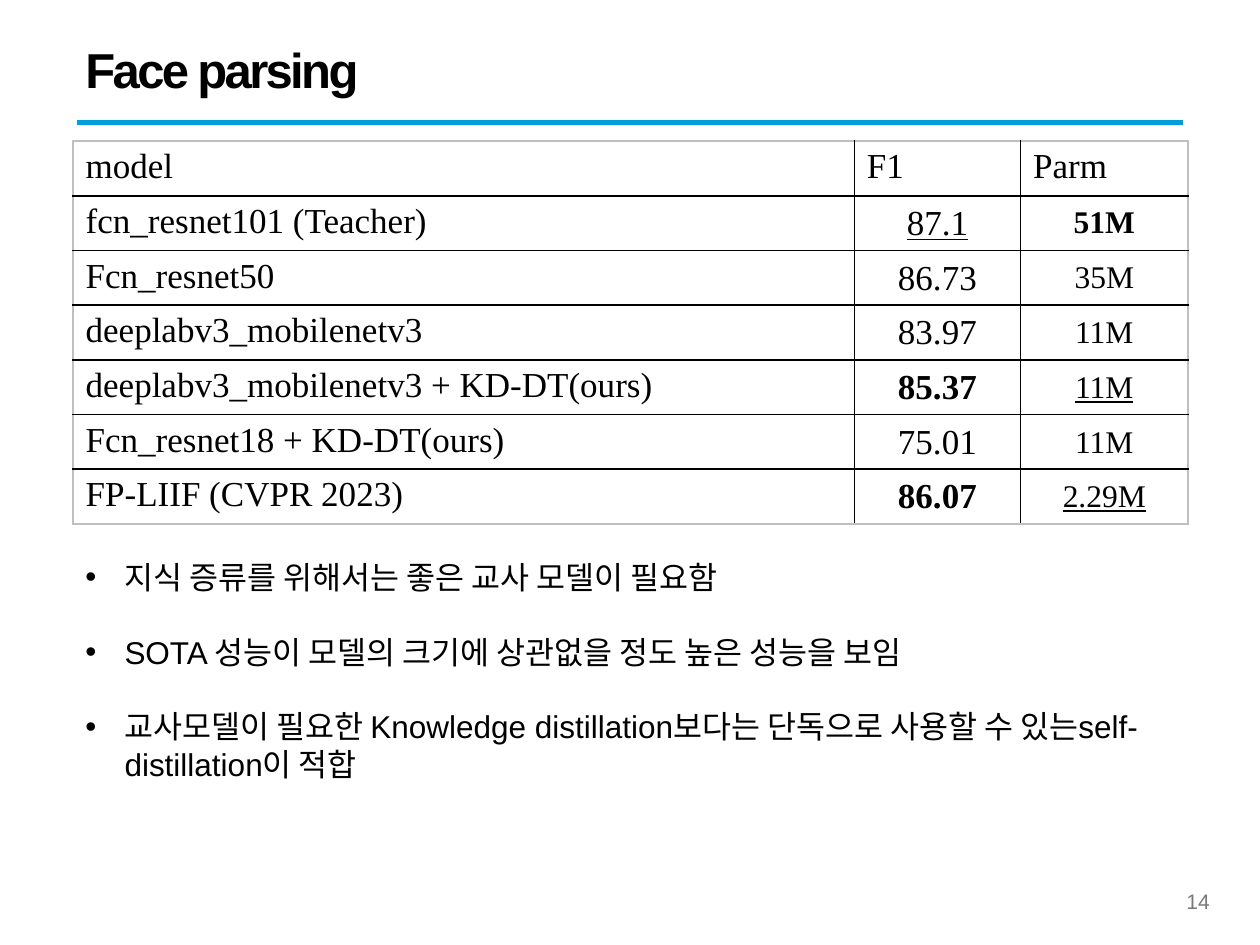
from pptx import Presentation, util as u
from pptx.dml.color import RGBColor
from pptx.enum import shapes as sh, text as t
from pptx.oxml.ns import qn
from lxml import etree

# Content
TITLE = "Face parsing"
PAGE = "14"
HEAD = ("model", "F1", "Parm")
# model, F1, F1 style, size, size style (b = bold, u = underlined)
ROWS = [
    ("fcn_resnet101 (Teacher)", "87.1", "u", "51M", "b"),
    ("Fcn_resnet50", "86.73", "", "35M", ""),
    ("deeplabv3_mobilenetv3", "83.97", "", "11M", ""),
    ("deeplabv3_mobilenetv3 + KD-DT(ours)", "85.37", "b", "11M", "u"),
    ("Fcn_resnet18 + KD-DT(ours)", "75.01", "", "11M", ""),
    ("FP-LIIF (CVPR 2023)", "86.07", "b", "2.29M", "u"),
]
NOTES = [
    "지식 증류를 위해서는 좋은 교사 모델이 필요함",
    "SOTA 성능이 모델의 크기에 상관없을 정도 높은 성능을 보임",
    "교사모델이 필요한 Knowledge distillation보다는 단독으로 사용할 수 있는self-distillation이 적합",
]
THEME = dict(
    ink="000000", rule="009EDB", edge="BFBFBF", page="797979",
    sans="Arial", serif="Times New Roman",
    title=28, cell=20, small=18, note=18, num=12,
)
LEFT, WIDE = 0.58, 8.85
COLS = (6.2, 1.32, 1.33)
TOP, HIGH = 1.12, 3.03


def add_run(par, words, size, font, ink=THEME["ink"], style=""):
    run = par.add_run()
    run.text = words
    run.font.size = u.Pt(size)
    run.font.name = font
    run.font.color.rgb = RGBColor.from_string(ink)
    run.font.bold = "b" in style
    run.font.underline = "u" in style
    return run


def add_box(slide, left, top, wide, high, anchor):
    box = slide.shapes.add_textbox(*map(u.Inches, (left, top, wide, high)))
    frame = box.text_frame
    frame.word_wrap = True
    frame.vertical_anchor = anchor
    return frame


def set_edge(cell, side, ink):
    props = cell._tc.get_or_add_tcPr()
    line = etree.SubElement(props, qn("a:" + side), w=str(u.Pt(1)))
    fill = etree.SubElement(line, qn("a:solidFill"))
    etree.SubElement(fill, qn("a:srgbClr"), val=ink)


def add_grid(slide):
    count = len(ROWS) + 1
    grid = slide.shapes.add_table(
        count, len(COLS), *map(u.Inches, (LEFT, TOP, WIDE, HIGH))).table
    grid.first_row = grid.horz_banding = False
    for col, wide in zip(grid.columns, COLS):
        col.width = u.Inches(wide)
    data = [[(word, "") for word in HEAD]]
    data += [[(name, ""), (f1, fs), (size, ss)] for name, f1, fs, size, ss in ROWS]
    for r, row in enumerate(data):
        grid.rows[r].height = u.Inches(HIGH / count)
        for c, (words, style) in enumerate(row):
            cell = grid.cell(r, c)
            par = cell.text_frame.paragraphs[0]
            value = r > 0 and c > 0
            if value:
                par.alignment = t.PP_ALIGN.CENTER
                cell.vertical_anchor = t.MSO_ANCHOR.MIDDLE
                if c == 1 or r > 2:
                    cell.margin_left = cell.margin_right = u.Inches(0.01)
                    cell.margin_top, cell.margin_bottom = u.Inches(0.01), 0
            size = THEME["small" if value and c == 2 else "cell"]
            add_run(par, words, size, THEME["serif"], style=style)
            # Grey frame, black inner lines
            outer = {"lnL": c == 0, "lnR": c == len(COLS) - 1,
                     "lnT": r == 0, "lnB": r == count - 1}
            for side, out in outer.items():
                set_edge(cell, side, THEME["edge" if out else "ink"])
            cell.fill.background()


def add_notes(slide):
    frame = add_box(slide, LEFT, 4.38, WIDE, 1.92, t.MSO_ANCHOR.TOP)
    for i, words in enumerate(NOTES):
        par = frame.add_paragraph() if i else frame.paragraphs[0]
        par.space_before = u.Pt(21 if i else 0)
        props = par._p.get_or_add_pPr()
        props.set("marL", str(u.Inches(0.31)))
        props.set("indent", str(u.Inches(-0.31)))
        etree.SubElement(props, qn("a:buFont"), typeface=THEME["sans"])
        etree.SubElement(props, qn("a:buChar"), char="•")
        add_run(par, words, THEME["note"], THEME["sans"])


def main():
    deck = Presentation()
    deck.slide_width, deck.slide_height = u.Inches(10), u.Inches(7.5)
    slide = deck.slides.add_slide(deck.slide_layouts[6])

    # Rule under the title
    rule = slide.shapes.add_connector(
        sh.MSO_CONNECTOR.STRAIGHT, *map(u.Inches, (0.61, 0.97, 9.39, 0.97)))
    rule.line.color.rgb = RGBColor.from_string(THEME["rule"])
    rule.line.width = u.Pt(3)
    etree.SubElement(rule._element.spPr, qn("a:effectLst"))

    # Title
    par = add_box(slide, LEFT, 0.15, 7.73, 0.86, t.MSO_ANCHOR.MIDDLE).paragraphs[0]
    par.line_spacing = 0.9
    run = add_run(par, TITLE, THEME["title"], THEME["sans"], style="b")
    run.font._element.set("spc", "-150")

    # Table and remarks
    add_grid(slide)
    add_notes(slide)

    # Page number
    par = add_box(slide, 7.45, 6.95, 2.25, 0.4, t.MSO_ANCHOR.MIDDLE).paragraphs[0]
    par.alignment = t.PP_ALIGN.RIGHT
    add_run(par, PAGE, THEME["num"], THEME["sans"], THEME["page"])

    deck.save("out.pptx")


if __name__ == "__main__":
    main()
